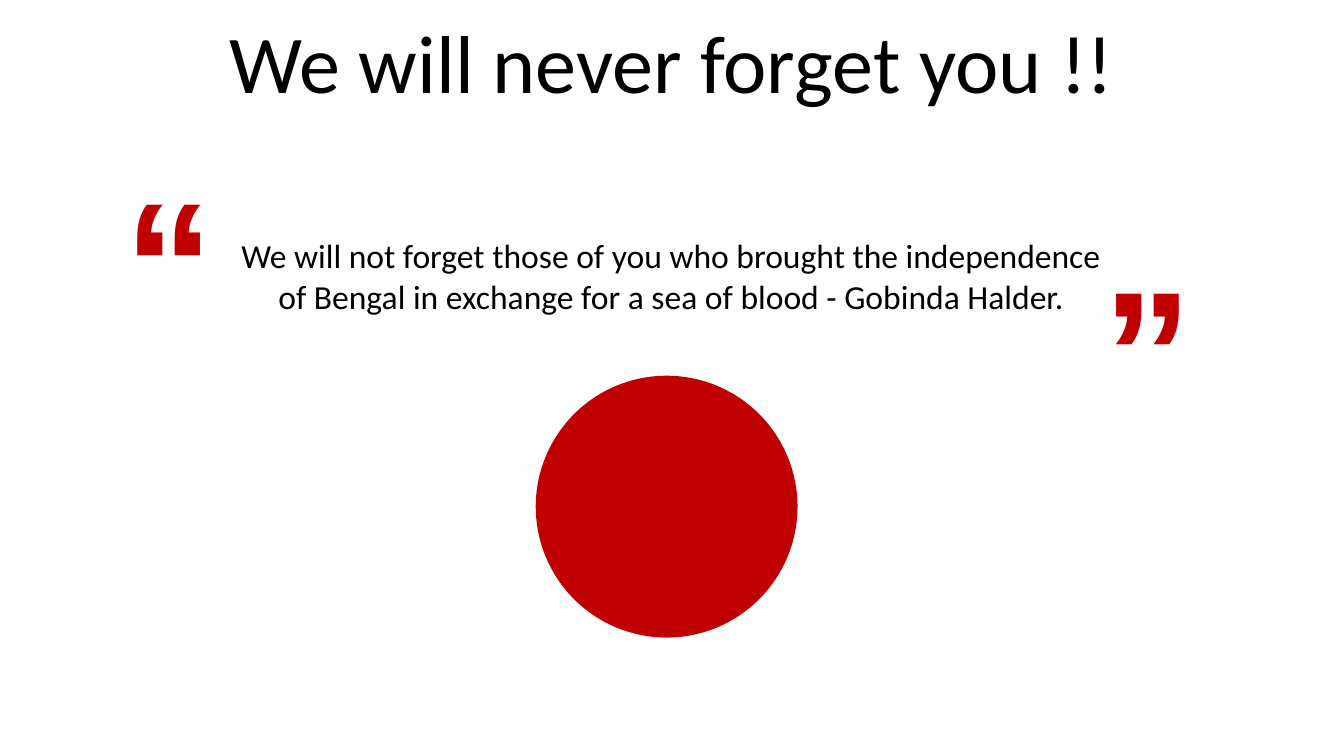
from pptx import Presentation
from pptx.dml.color import RGBColor
from pptx.enum.shapes import MSO_SHAPE
from pptx.enum.text import MSO_ANCHOR, PP_ALIGN
from pptx.util import Inches, Pt

OVAL = MSO_SHAPE.OVAL
TOP, MIDDLE = MSO_ANCHOR.TOP, MSO_ANCHOR.MIDDLE
CENTER = PP_ALIGN.CENTER
WIDTH = 10
HEIGHT = WIDTH * 9 / 16
RED, WHITE, BLACK = "C00000", "FFFFFF", "000000"


def color(hex_value):
    """Turn a hex string into a colour."""
    return RGBColor.from_string(hex_value)


def add_words(slide, box, words, size, font="Calibri", ink=BLACK,
              bold=False, anchor=TOP):
    """Place one centred paragraph in a box of inches and return its shape."""
    words_box = slide.shapes.add_textbox(*map(Inches, box))
    frame = words_box.text_frame
    frame.word_wrap = True
    frame.vertical_anchor = anchor
    paragraph = frame.paragraphs[0]
    paragraph.alignment = CENTER
    run = paragraph.add_run()
    run.text = words
    run.font.name = font
    run.font.size = Pt(size)
    run.font.bold = bold
    run.font.color.rgb = color(ink)
    return words_box


def add_disc(slide, box, rim=0.08):
    """Draw a red disc inside a white rim that fills the box."""
    left, top, width, height = box
    for inset, shade in ((0, WHITE), (rim, RED)):
        bounds = (left + inset, top + inset,
                  width - 2 * inset, height - 2 * inset)
        disc = slide.shapes.add_shape(OVAL, *map(Inches, bounds))
        disc.shadow.inherit = False
        disc.fill.solid()
        disc.fill.fore_color.rgb = color(shade)
        disc.line.color.rgb = color(shade)
        disc.line.width = Pt(2)


def add_quotation(slide, box, quotation):
    """Set the quotation between an opening mark and its half-turned twin."""
    left, top, width, height = box
    mark_width, mark_height = 0.82, 1.72
    add_words(slide, (left + 0.78, top + 0.64, width - 1.37, 0.71),
              quotation, 18)
    corners = ((left, top, 0),
               (left + width - mark_width, top + height - mark_height, 180))
    for mark_left, mark_top, turn in corners:
        mark = add_words(slide, (mark_left, mark_top, mark_width, mark_height),
                         "\u201c", 96, "Arial", RED, True)
        mark.rotation = turn


def build_tribute(slide):
    """Lay out the disc, the title and the quotation."""
    add_disc(slide, (3.92, 2.73, 2.08, 2.08))
    add_words(slide, (0, 0.14, WIDTH, 0.63), "We will never forget you !!",
              44, anchor=MIDDLE)
    add_quotation(slide, (0.83, 1.06, 8.14, 1.97),
                  "We will not forget those of you who brought the "
                  "independence of Bengal in exchange for a sea of blood "
                  "- Gobinda Halder.")


deck = Presentation()
deck.slide_width, deck.slide_height = Inches(WIDTH), Inches(HEIGHT)
tribute = deck.slides.add_slide(deck.slide_layouts[6])
tribute.background.fill.solid()
tribute.background.fill.fore_color.rgb = color(WHITE)
build_tribute(tribute)
deck.save("out.pptx")
